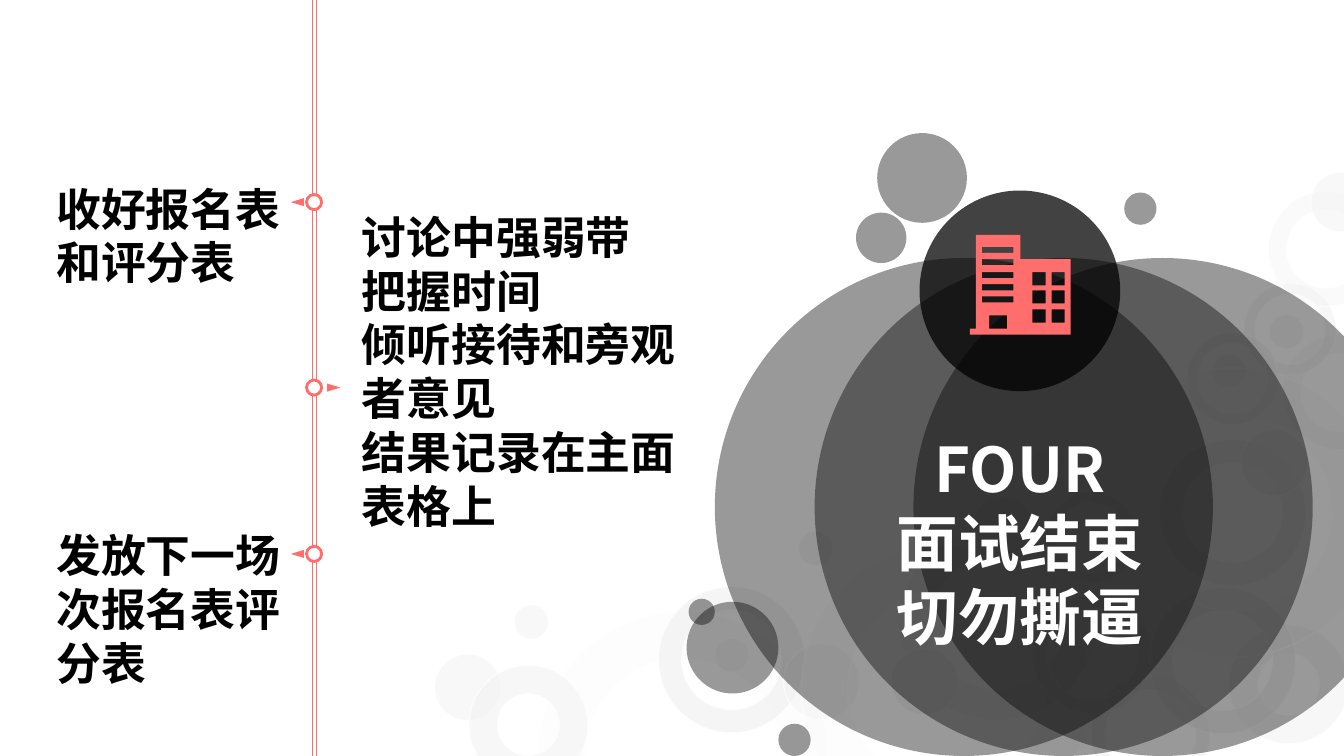
from dataclasses import dataclass
from lxml.etree import SubElement
from pptx import Presentation
from pptx.dml.color import RGBColor
from pptx.enum.shapes import MSO_CONNECTOR, MSO_SHAPE
from pptx.enum.text import MSO_AUTO_SIZE, PP_ALIGN
from pptx.oxml.ns import qn
from pptx.util import Pt

PX = 9144  # EMU in one px, 100 px to the inch
WIDE, HIGH = 1333, 750


@dataclass(frozen=True)
class Theme:
    coral: str = "FF6D6D"
    black: str = "000000"
    white: str = "FFFFFF"
    mist: str = "F2F2F2"
    latin: str = "Calibri"
    sans: str = "Noto Sans CJK SC"
    title: int = 44
    body: int = 32


THEME = Theme()

# left, top, size, ring width in 1/1000 (0 for a disc), opacity
BUBBLES = [
    (1150, 436, 145, 159, 75), (1272, 332, 114, 159, 31),
    (534, 607, 287, 159, 13), (1082, 670, 118, 117, 54),
    (1234, 281, 91, 117, 54), (1231, 426, 66, 0, 47),
    (1202, 351, 34, 0, 47), (892, 521, 194, 159, 42),
    (653, 582, 145, 159, 75), (777, 639, 75, 0, 39),
    (965, 492, 59, 0, 47), (795, 540, 287, 159, 13),
    (1024, 590, 118, 117, 54), (1037, 488, 91, 117, 54),
    (1219, 620, 118, 240, 54), (792, 527, 34, 0, 47),
    (431, 649, 66, 0, 47), (709, 633, 34, 0, 47),
    (1020, 445, 34, 0, 47), (1140, 583, 145, 159, 75),
    (1258, 190, 114, 159, 31), (1300, 171, 59, 0, 47),
    (1080, 365, 287, 159, 13), (1177, 330, 91, 117, 54),
    (465, 660, 118, 240, 54), (1259, 312, 34, 0, 47),
    (884, 643, 66, 0, 47), (510, 600, 34, 0, 47),
]
# left, top, size, opacity
DISCS = [
    (906, 256, 494, 40), (709, 256, 494, 40), (808, 256, 494, 40),
    (912, 189, 199, 74), (870, 132, 89, 40), (1115, 191, 32, 40),
    (849, 211, 50, 40), (681, 597, 91, 40), (772, 718, 32, 40),
    (683, 594, 26, 40),
]
WALLS = [(1012, 257), (1012, 233), (968, 233), (968, 326), (962, 326),
         (962, 332), (1062, 332), (1062, 257)]
DOOR = (981, 313, 18, 13)
VENTS = [(974, round(245 + 12.25 * i), 31, 6) for i in range(5)]
PANES = [(x, round(270 + 18.5 * i), 13, 13)
         for x in (1024, 1043) for i in range(3)]

RING = 15
RAILS = (310, 314)
# top of ring, left of arrow, turn of arrow
STOPS = [(193, 291, 270), (377, 327, 90), (542, 291, 270)]

HEAD = [("FOUR", THEME.sans), ("面试结束", THEME.latin),
        ("切勿撕逼", THEME.latin)]
NOTES = [
    ((46, 175, 263, 118), ["收好报名表和评分表"]),
    ((349, 203, 356, 333), ["讨论中强弱带", "把握时间",
                            "倾听接待和旁观者意见", "结果记录在主面表格上"]),
    ((46, 519, 275, 172), ["发放下一场次报名表评分表"]),
]


def emu(*nums):
    return [n * PX for n in nums]


def fade(node, pct):
    """Set the opacity of the colour inside a fill or line element."""
    tint = node.find(".//" + qn("a:srgbClr"))
    SubElement(tint, qn("a:alpha"), val=str(pct * 1000))


def paint(shape, fill=None, clear=100, edge=None, width=1, haze=100):
    shape.shadow.inherit = False
    props = shape._element.spPr
    if fill:
        shape.fill.solid()
        shape.fill.fore_color.rgb = RGBColor.from_string(fill)
        if clear < 100:
            fade(props.find(qn("a:solidFill")), clear)
    else:
        shape.fill.background()
    if edge:
        shape.line.color.rgb = RGBColor.from_string(edge)
        shape.line.width = Pt(width)
        if haze < 100:
            fade(props.find(qn("a:ln")), haze)
    else:
        shape.line.fill.background()


def add_text(shapes, box, lines, size, tint, align, wrap):
    """Add a bold text box; lines holds (text, font) pairs."""
    frame = shapes.add_textbox(*emu(*box)).text_frame
    frame.word_wrap = wrap
    frame.auto_size = MSO_AUTO_SIZE.SHAPE_TO_FIT_TEXT
    for i, (text, face) in enumerate(lines):
        para = frame.add_paragraph() if i else frame.paragraphs[0]
        para.alignment = align
        run = para.add_run()
        run.text = text
        for key, val in {"name": face, "size": Pt(size), "bold": True}.items():
            setattr(run.font, key, val)
        run.font.color.rgb = RGBColor.from_string(tint)


def add_rails(shapes, top, end):
    for x in RAILS:
        rail = shapes.add_connector(MSO_CONNECTOR.STRAIGHT,
                                    *emu(x, top, x, end))
        rail.line.color.rgb = RGBColor.from_string(THEME.coral)
        rail.line.width = Pt(0.75)
        SubElement(rail._element.spPr, qn("a:effectLst"))


def add_house(shapes):
    pen = shapes.build_freeform(*WALLS[0], scale=PX)
    pen.add_line_segments(WALLS[1:], close=True)
    for x, y, w, h in [DOOR, *VENTS, *PANES]:
        pen.move_to(x + w, y + h)
        pen.add_line_segments([(x, y + h), (x, y), (x + w, y)], close=True)
    paint(pen.convert_to_shape(), THEME.coral)


def add_track(shapes):
    """Add the double rail with its rings and arrows."""
    start = 0
    for top, left, turn in STOPS:
        add_rails(shapes, start, top)
        start = top + RING
        ring = shapes.add_shape(MSO_SHAPE.OVAL, *emu(304, top, RING, RING))
        paint(ring, edge=THEME.coral, width=2)
        arrow = shapes.add_shape(MSO_SHAPE.ISOSCELES_TRIANGLE,
                                 *emu(left, top + 1, 8, 13))
        arrow.rotation = turn
        paint(arrow, THEME.coral)
    add_rails(shapes, start, HIGH)


def main():
    deck = Presentation()
    deck.slide_width, deck.slide_height = emu(WIDE, HIGH)
    shapes = deck.slides.add_slide(deck.slide_layouts[6]).shapes
    for x, y, size, band, clear in BUBBLES:
        kind = MSO_SHAPE.DONUT if band else MSO_SHAPE.OVAL
        bubble = shapes.add_shape(kind, *emu(x, y, size, size))
        if band:
            bubble.adjustments[0] = band / 1000
        paint(bubble, THEME.mist, clear, THEME.white, haze=70)
    for x, y, size, clear in DISCS:
        disc = shapes.add_shape(MSO_SHAPE.OVAL, *emu(x, y, size, size))
        paint(disc, THEME.black, clear)
    add_text(shapes, (878, 423, 267, 232), HEAD, THEME.title, THEME.white,
             PP_ALIGN.CENTER, False)
    add_house(shapes)
    add_track(shapes)
    for box, lines in NOTES:
        add_text(shapes, box, [(line, THEME.latin) for line in lines],
                 THEME.body, THEME.black, PP_ALIGN.LEFT, True)
    deck.save("out.pptx")


if __name__ == "__main__":
    main()
